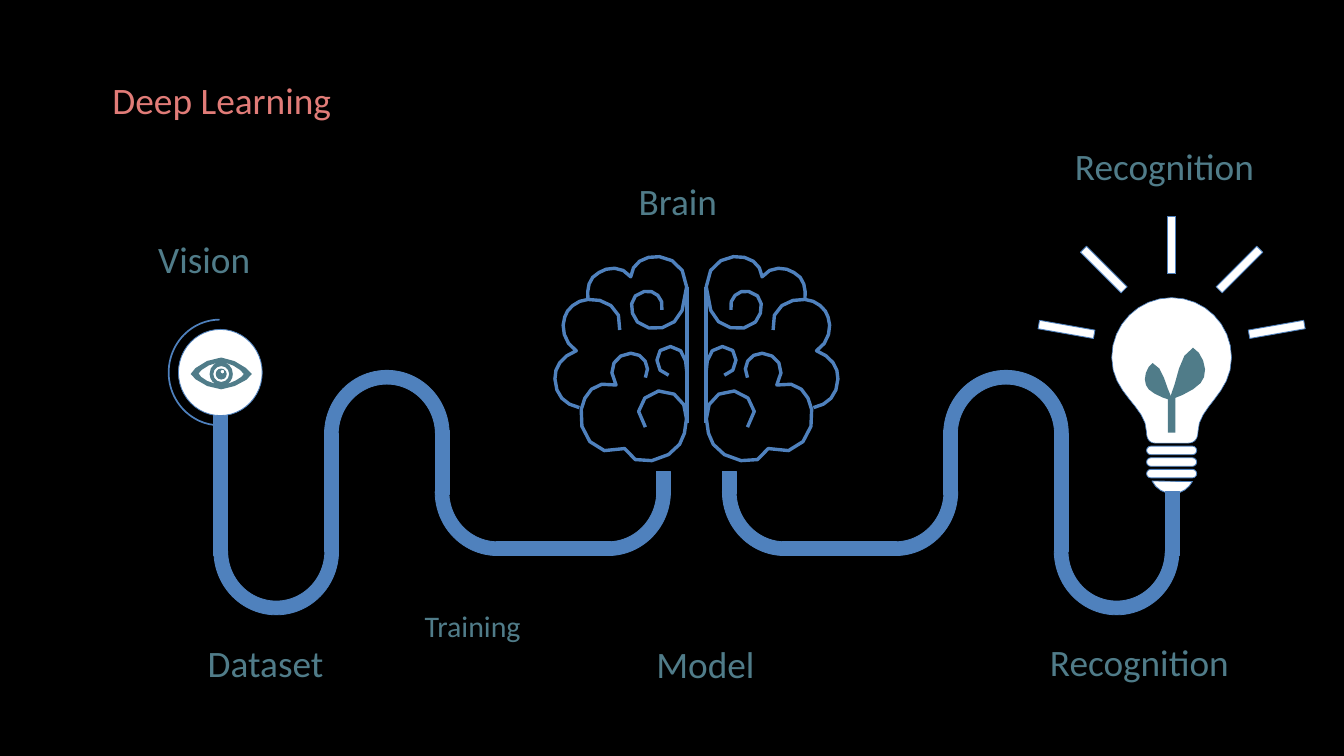
import pptx
import pptx.util
import pptx.dml.color
import pptx.enum.shapes
import pptx.oxml.ns
import lxml.etree

SHAPE = pptx.enum.shapes.MSO_SHAPE
BLUE, TEAL, WHITE, BLACK, CORAL = "4F81BD", "507C89", "FFFFFF", "000000", "E17C78"
MIRROR = 22.79
TUBE = 0.23


def inch(value):
    """Turn inches on the slide into a length."""
    return pptx.util.Cm(value * 2.54)


def rgb(code):
    """Turn a hex string into a colour."""
    return pptx.dml.color.RGBColor.from_string(code)


def bezier(a, b, c, d, steps):
    """Sample a cubic curve after its first point."""
    for i in range(1, steps + 1):
        t = i / steps
        u = 1 - t
        yield tuple(u**3 * p + 3 * u * u * t * q + 3 * u * t * t * v + t**3 * w
                    for p, q, v, w in zip(a, b, c, d))


def contours(path, steps):
    """Read M, L and C commands into lists of points."""
    result = []
    for part in path.replace("M", "|M").replace("L", "|L").replace("C", "|C").split("|")[1:]:
        n = [float(v) for v in part[1:].split()]
        points = list(zip(n[::2], n[1::2]))
        if part[0] == "M":
            result.append(points)
        elif part[0] == "L":
            result[-1] += points
        else:
            for i in range(0, len(points), 3):
                result[-1] += bezier(result[-1][-1], *points[i:i + 3], steps)
    return result


def circle(x, y, r):
    """Describe a circle as a path of four curves."""
    k = 0.55 * r
    return (f"M {x} {y - r:.4f} C {x + k:.4f} {y - r:.4f} {x + r:.4f} {y - k:.4f} {x + r:.4f} {y} "
            f"{x + r:.4f} {y + k:.4f} {x + k:.4f} {y + r:.4f} {x} {y + r:.4f} "
            f"{x - k:.4f} {y + r:.4f} {x - r:.4f} {y + k:.4f} {x - r:.4f} {y} "
            f"{x - r:.4f} {y - k:.4f} {x - k:.4f} {y - r:.4f} {x} {y - r:.4f} ")


class Deck:
    """Hold the style and the current slide."""

    def __init__(self, width, height, font="Calibri"):
        """Open a deck with one black slide."""
        self.prs = pptx.Presentation()
        self.prs.slide_width, self.prs.slide_height = inch(width), inch(height)
        self.s = self.prs.slides.add_slide(self.prs.slide_layouts[6])
        self.s.background.fill.solid()
        self.s.background.fill.fore_color.rgb = rgb(BLACK)
        self.font = font

    def style(self, sp, fill, line, width):
        """Set fill, outline and shadow."""
        sp.shadow.inherit = False
        if fill:
            sp.fill.solid()
            sp.fill.fore_color.rgb = rgb(fill)
        else:
            sp.fill.background()
        if line:
            sp.line.color.rgb = rgb(line)
            sp.line.width = pptx.util.Pt(width)
        else:
            sp.line.fill.background()
        return sp

    def shape(self, kind, x, y, w, h, fill=BLUE, line=BLUE, width=1, rot=0, adj=()):
        """Add a preset shape."""
        sp = self.s.shapes.add_shape(kind, inch(x), inch(y), inch(w), inch(h))
        for i, value in enumerate(adj):
            sp.adjustments[i] = value
        sp.rotation = rot
        return self.style(sp, fill, line, width)

    def outline(self, path, fill=None, line=None, width=1, mirror=False, steps=4):
        """Add a freeform, closed when it is filled."""
        fb = None
        for contour in contours(path, steps):
            points = [(inch(MIRROR - x if mirror else x), inch(y)) for x, y in contour]
            if fb is None:
                fb = self.s.shapes.build_freeform(*points[0], scale=1.0)
            else:
                fb.move_to(*points[0])
            fb.add_line_segments(points[1:], close=bool(fill))
        return self.style(fb.convert_to_shape(), fill, line, width)

    def line(self, x1, y1, x2, y2, width):
        """Add a straight line."""
        kind = pptx.enum.shapes.MSO_CONNECTOR.STRAIGHT
        cn = self.s.shapes.add_connector(kind, inch(x1), inch(y1), inch(x2), inch(y2))
        cn.line.color.rgb = rgb(BLUE)
        cn.line.width = pptx.util.Pt(width)
        lxml.etree.SubElement(cn._element.spPr, pptx.oxml.ns.qn("a:effectLst"))

    def text(self, words, x, y, w, h, size=43.9, color=TEAL, inset=(0.1, 0.05)):
        """Add a text box with one run."""
        tf = self.s.shapes.add_textbox(inch(x), inch(y), inch(w), inch(h)).text_frame
        tf.word_wrap = True
        tf.margin_left = tf.margin_right = inch(inset[0])
        tf.margin_top = tf.margin_bottom = inch(inset[1])
        r = tf.paragraphs[0].add_run()
        r.text = words
        r.font.name = self.font
        r.font.size = pptx.util.Pt(size)
        r.font.color.rgb = rgb(color)


BRAIN_FOLDS = (
    "M 11.96 5.07 C 11.92 4.88 12.08 4.73 12.25 4.77 12.5 4.81 12.51 5.1 12.36 5.27 "
    "12.15 5.47 11.73 5.38 11.63 5.08 11.41 4.48 11.72 4.23 12 4.2 "
    "12.26 4.18 12.45 4.31 12.47 4.53 12.61 4.34 12.86 4.37 12.99 4.46 "
    "13.16 4.54 13.19 4.73 13.17 4.91",
    "M 12.65 5.4 C 12.59 5.02 12.92 4.88 13.17 4.9 13.36 4.91 13.52 5.06 13.55 5.19 "
    "13.61 5.34 13.57 5.61 13.36 5.74 13.6 5.83 13.72 6.01 13.71 6.2 "
    "13.7 6.47 13.55 6.62 13.31 6.67",
    "M 12.23 6.18 C 12.13 5.99 12.26 5.78 12.47 5.78 12.71 5.79 12.88 6.02 12.71 6.3 "
    "13.07 6.21 13.23 6.44 13.28 6.7 13.35 7.05 13.07 7.54 12.57 7.34 "
    "12.44 7.71 11.81 7.52 11.67 7.27 11.55 7.09 11.46 6.61 11.76 6.45 "
    "12.08 6.24 12.56 6.65 12.23 6.99",
    "M 11.55 6.43 C 11.54 6.02 11.53 5.69 11.82 5.67 12.13 5.66 12.09 6.12 11.85 6.14",
)
BULB_GLASS = (
    "M 19.17 4.87 C 19.71 4.87 20.15 5.31 20.15 5.85 20.15 6.45 19.6 6.65 19.6 7.07 "
    "19.6 7.17 19.55 7.25 19.44 7.25 L 18.9 7.25 C 18.8 7.25 18.76 7.17 18.76 7.07 "
    "18.76 6.65 18.19 6.45 18.19 5.85 18.19 5.31 18.63 4.87 19.17 4.87")
BULB_TIP = "M 18.85 7.87 L 19.51 7.88 C 19.45 7.99 19.34 8.07 19.2 8.08 19.05 8.08 18.91 8 18.85 7.87"
LEAVES = (
    "M 19.52 5.69 C 19.28 5.8 19.28 6.2 19.13 6.55 19.45 6.44 19.67 6.3 19.7 6.17 "
    "19.76 6.02 19.66 5.76 19.52 5.69",
    "M 18.86 5.94 C 19.04 6.01 19.06 6.3 19.19 6.56 18.95 6.49 18.78 6.4 18.75 6.3 "
    "18.7 6.19 18.76 6 18.86 5.94",
)
EYE = (
    circle(3.64, 6.08, 0.03) + circle(3.62, 6.12, 0.09) + circle(3.62, 6.12, 0.13)
    + "M 3.68 5.93 C 3.76 5.96 3.81 6.03 3.81 6.12 3.81 6.18 3.78 6.24 3.73 6.28 "
    "3.86 6.24 3.99 6.15 3.99 6.12 3.97 6.07 3.82 5.96 3.68 5.93 "
    "M 3.57 5.93 C 3.41 5.95 3.25 6.08 3.25 6.11 3.25 6.15 3.38 6.25 3.52 6.28 "
    "3.47 6.25 3.43 6.19 3.43 6.12 3.43 6.02 3.49 5.95 3.57 5.93 "
    "M 3.62 5.85 C 3.83 5.86 4.09 6.05 4.12 6.12 4.11 6.19 3.83 6.36 3.62 6.37 "
    "3.39 6.37 3.13 6.17 3.12 6.12 3.12 6.06 3.39 5.85 3.62 5.85")
TUBE_BARS = ((5.31, 8.04, TUBE, 0.99), (7.12, 7.04, TUBE, 1.05), (5.31, 7.1, TUBE, 0.99),
             (8.12, 8.86, 1.87, TUBE), (10.74, 7.72, TUBE, 0.36))
TUBE_BENDS = ((3.5, 7.97, 0, 108), (5.31, 6.06, 108, 0), (7.12, 7, 54, 108), (8.93, 7, 0, 54))
LABELS = (("Brain", 10.35, 2.86, 1.79), ("Vision", 2.49, 3.81, 2.02),
          ("Recognition", 17.49, 2.29, 3.79), ("Dataset", 3.3, 10.43, 2.59),
          ("Model", 10.64, 10.44, 2.03), ("Recognition", 17.08, 10.41, 3.79))


def draw_brain(deck):
    """Draw both halves of the brain."""
    for mirror in (False, True):
        for fold in BRAIN_FOLDS:
            deck.outline(fold, line=BLUE, width=4, mirror=mirror)
        x = MIRROR - 11.55 if mirror else 11.55
        deck.line(x, 4.7, x, 6.92, 4)


def draw_bulb(deck):
    """Draw the bulb with its plant and rays."""
    for i in range(3):
        deck.shape(SHAPE.ROUNDED_RECTANGLE, 18.76, 7.3 + 0.19 * i, 0.82, 0.14, WHITE, adj=(0.5,))
    deck.outline(BULB_TIP, WHITE, BLUE)
    deck.outline(BULB_GLASS, WHITE, BLUE, 0, steps=8)
    for leaf in LEAVES:
        deck.outline(leaf, TEAL)
    deck.shape(SHAPE.RECTANGLE, 19.11, 6.51, 0.12, 0.57, TEAL, None)
    for dx, y, h, rot in ((0, 3.54, 0.94, 0), (-1.11, 3.94, 0.94, -45), (1.11, 3.94, 0.94, 45),
                          (-1.72, 4.93, 0.92, -80), (1.72, 4.93, 0.92, 80)):
        deck.shape(SHAPE.RECTANGLE, 19.1 + dx, y, 0.14, h, WHITE, rot=rot)


def draw_tube(deck):
    """Draw the winding tube on both sides of the brain."""
    deck.shape(SHAPE.RECTANGLE, 3.5, 6.72, TUBE, 2.37)
    deck.shape(SHAPE.RECTANGLE, 19.07, 8.04, TUBE, 1.05)
    for mirror in (False, True):
        for x, y, w, h in TUBE_BARS:
            deck.shape(SHAPE.RECTANGLE, MIRROR - x - w if mirror else x, y, w, h)
        for x, y, start, end in TUBE_BENDS:
            if mirror:
                x = MIRROR - x - 2.04
                start, end = (108 - end) % 216, (108 - start) % 216
            deck.shape(SHAPE.BLOCK_ARC, x, y, 2.04, 2.09, adj=(start, end, 0.11))


def draw_eye(deck):
    """Draw the eye in its disc and arc."""
    arc = deck.shape(SHAPE.ARC, 2.76, 5.23, 1.68, 1.73, None, width=2, adj=(56.14, 161.74))
    ln = arc._element.spPr.find(pptx.oxml.ns.qn("a:ln"))
    lxml.etree.SubElement(ln, pptx.oxml.ns.qn("a:headEnd"), type="oval")
    deck.shape(SHAPE.OVAL, 2.92, 5.39, 1.37, 1.41, WHITE)
    deck.outline(EYE, TEAL, steps=3)


def main():
    """Build the slide and save it."""
    deck = Deck(21.99, 12.37)
    deck.text("Deep Learning", 1.62, 1.05, 11.41, 1.38, 44, CORAL, (0.22, 0.22))
    draw_brain(deck)
    draw_bulb(deck)
    draw_tube(deck)
    draw_eye(deck)
    for words, x, y, w in LABELS:
        deck.text(words, x, y, w, 0.83)
    deck.text("Training", 6.85, 9.9, 2.12, 0.68, 35.2)
    deck.prs.save("out.pptx")


if __name__ == "__main__":
    main()
